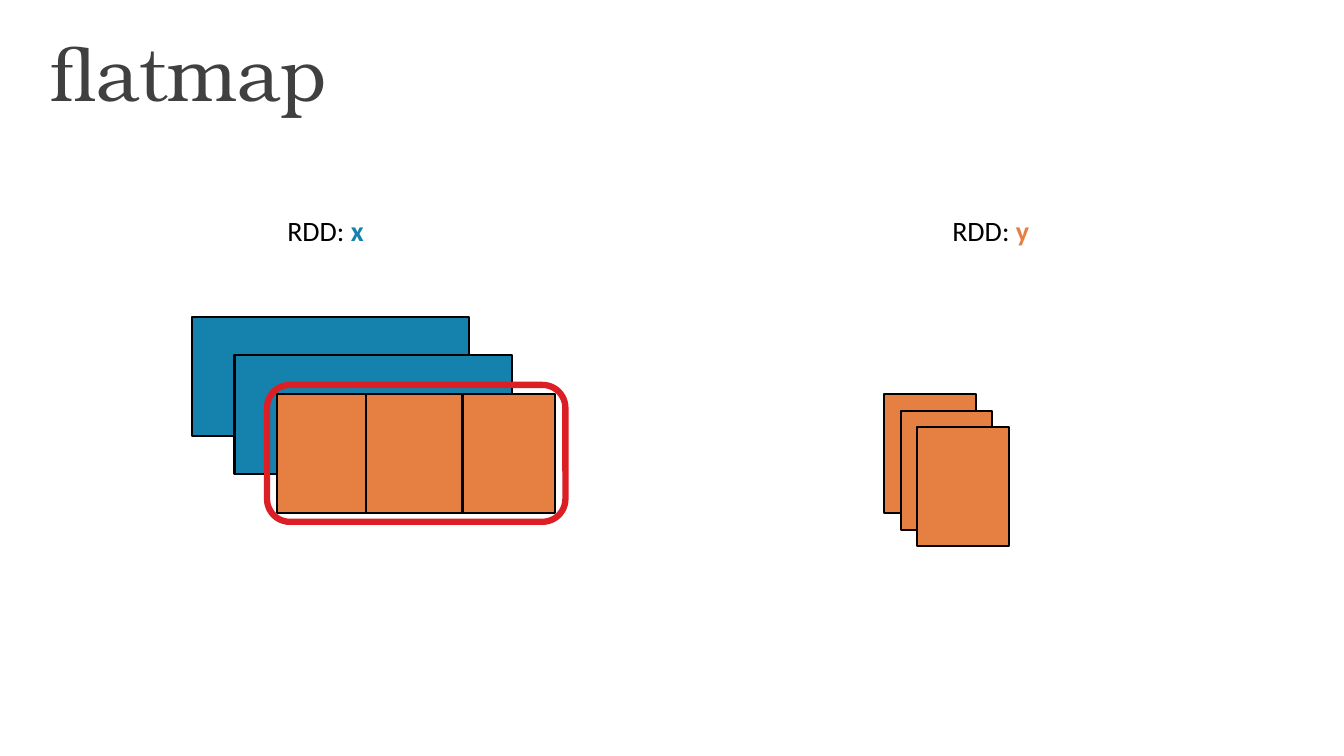
from typing import NamedTuple

from pptx import Presentation
from pptx import util as u
from pptx.dml.color import RGBColor
from pptx.enum import shapes, text
from pptx.oxml import ns, xmlchemy as xml

BLACK = RGBColor(0x00, 0x00, 0x00)
GREY = RGBColor(0x40, 0x40, 0x40)
BLUE = RGBColor(0x14, 0x82, 0xAC)
ORANGE = RGBColor(0xE6, 0x80, 0x42)
RED = RGBColor(0xDB, 0x1F, 0x25)


class Box(NamedTuple):
    left: float
    top: float
    width: float
    height: float


class Run(NamedTuple):
    words: str
    color: RGBColor
    bold: bool = False


class Stack(NamedTuple):
    first: Box
    right: float
    down: float
    fills: tuple


class Label(NamedTuple):
    left: float
    name: str
    color: RGBColor


CARD = Box(4.83, 7.98, 6.99, 3)
STACKS = (
    Stack(CARD, 1.08, 0.97, (BLUE, BLUE, ORANGE)),
    Stack(Box(22.28, 9.93, 2.31, 3), 0.42, 0.42, (ORANGE,) * 3),
)
RING = Box(6.73, 9.7, 7.52, 3.45)
SPLITS = (9.22, 11.66)
LABELS = (Label(6.99, "x", BLUE), Label(23.75, "y", ORANGE))


def add_rect(slide, box: Box, fill: RGBColor | None, line: RGBColor,
             weight: float, kind=shapes.MSO_SHAPE.RECTANGLE) -> None:
    rect = slide.shapes.add_shape(kind, *map(u.Cm, box))
    rect.shadow.inherit = False
    if fill is None:
        rect.fill.background()
    else:
        rect.fill.solid()
        rect.fill.fore_color.rgb = fill
    rect.line.color.rgb = line
    rect.line.width = u.Pt(weight)


def add_stack(slide, stack: Stack) -> None:
    for i, fill in enumerate(stack.fills):
        box = stack.first._replace(left=stack.first.left + i * stack.right,
                                   top=stack.first.top + i * stack.down)
        add_rect(slide, box, fill, BLACK, 1.5)


def add_split(slide, left: float, top: float, height: float) -> None:
    line = slide.shapes.add_connector(
        shapes.MSO_CONNECTOR.STRAIGHT,
        u.Cm(left), u.Cm(top), u.Cm(left), u.Cm(top + height))
    line.line.color.rgb = BLACK
    line.line.width = u.Pt(1.75)
    line._element.spPr.append(xml.OxmlElement("a:effectLst"))


def add_text(slide, box: Box, runs: tuple, font: str, size: float):
    area = slide.shapes.add_textbox(*map(u.Cm, box))
    frame = area.text_frame
    frame.word_wrap = True
    frame.vertical_anchor = text.MSO_ANCHOR.TOP
    for item in runs:
        run = frame.paragraphs[0].add_run()
        run.text = item.words
        run.font.name = font
        run.font.size = u.Pt(size)
        run.font.bold = item.bold
        run.font.color.rgb = item.color
    return frame


def main() -> None:
    deck = Presentation()
    deck.slide_width, deck.slide_height = u.Cm(33.87), u.Cm(19.05)
    slide = deck.slides.add_slide(deck.slide_layouts[6])

    # Title
    title = add_text(slide, Box(0.94, 0.76, 31.7, 3.18),
                     (Run("flatmap", GREY),), "TeX Gyre Bonum", 53)
    title.margin_left = title.margin_right = u.Cm(0.33)
    title.margin_top = title.margin_bottom = u.Cm(0.18)
    title.paragraphs[0].line_spacing = 0.9

    # Stacked records of both sets
    for stack in STACKS:
        add_stack(slide, stack)

    # Front record: ring and split lines
    add_rect(slide, RING, None, RED, 4.5,
             shapes.MSO_SHAPE.ROUNDED_RECTANGLE)
    front = CARD.top + 2 * STACKS[0].down
    for left in SPLITS:
        add_split(slide, left, front, CARD.height)

    # Set names
    for label in LABELS:
        add_text(slide, Box(label.left, 5.26, 3.94, 1.12),
                 (Run("RDD: ", BLACK), Run(label.name, label.color, True)),
                 "Calibri", 20)

    deck.save("out.pptx")


if __name__ == "__main__":
    main()
